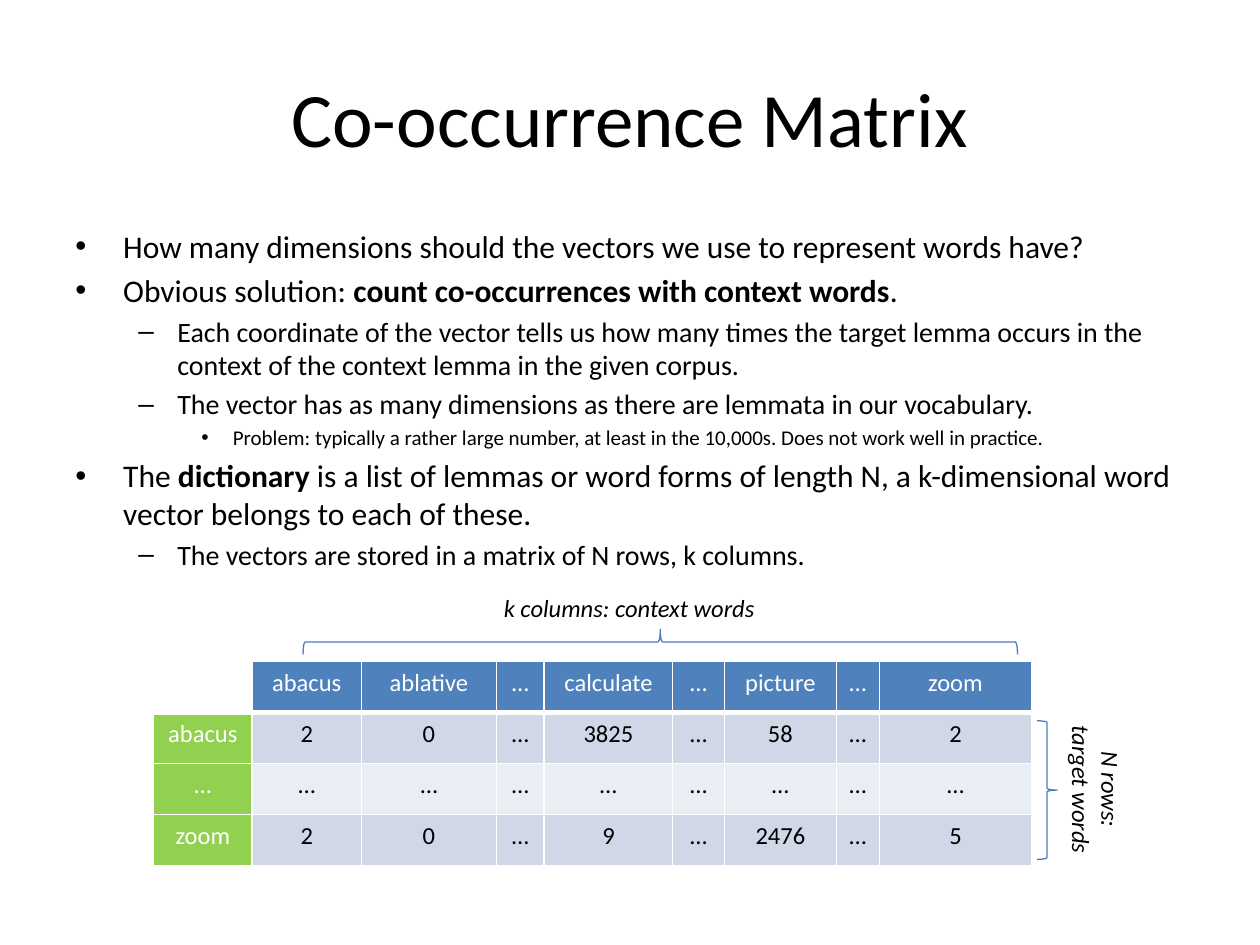
from lxml import etree
from pptx import Presentation
from pptx.dml.color import RGBColor
from pptx.enum.shapes import MSO_SHAPE
from pptx.enum.text import MSO_ANCHOR, PP_ALIGN
from pptx.oxml.ns import qn
from pptx.util import Inches, Pt

CENTER = PP_ALIGN.CENTER
LEFT = PP_ALIGN.LEFT
FONT = "Calibri"
COLORS = {
    "text": "000000",
    "white": "FFFFFF",
    "header": "4F81BD",
    "target": "92D050",
    "band": "D0D8E8",
    "light": "E9EDF4",
    "brace": "4B7EBC",
}


def rgb(name):
    return RGBColor.from_string(COLORS[name])


def style(para, size, align=LEFT, color="text", italic=None):
    para.alignment = align
    para.font.name = FONT
    para.font.size = Pt(size)
    para.font.italic = italic
    para.font.color.rgb = rgb(color)


deck = Presentation()
deck.slide_width, deck.slide_height = Inches(10), Inches(7.5)
page = deck.slides.add_slide(deck.slide_layouts[5])

title = page.shapes.title
title.left, title.top = Inches(0.5), Inches(0.3)
title.width, title.height = Inches(9), Inches(1.25)
title.text_frame.text = "Co-occurrence Matrix"
title.text_frame.vertical_anchor = MSO_ANCHOR.MIDDLE
style(title.text_frame.paragraphs[0], 44, CENTER)

LEVELS = [
    {"left": 0.38, "hang": 0.38, "bullet": "•", "size": 18},
    {"left": 0.81, "hang": 0.31, "bullet": "–", "size": 16},
    {"left": 1.25, "hang": 0.25, "bullet": "•", "size": 12},
]
points = [
    (0, ["How many dimensions should the vectors we use to represent words have?"]),
    (0, ["Obvious solution: ", "count co-occurrences with context words", "."]),
    (1, ["Each coordinate of the vector tells us how many times the target lemma "
         "occurs in the context of the context lemma in the given corpus."]),
    (1, ["The vector has as many dimensions as there are lemmata in our vocabulary."]),
    (2, ["Problem: typically a rather large number, at least in the 10,000s. "
         "Does not work well in practice."]),
    (0, ["The ", "dictionary ", "is a list of lemmas or word forms of length N, "
         "a k-dimensional word vector belongs to each of these."]),
    (1, ["The vectors are stored in a matrix of N rows, k columns."]),
]
body = page.shapes.add_textbox(Inches(0.5), Inches(1.75), Inches(9), Inches(4.95))
body.text_frame.word_wrap = True
for index, (level, parts) in enumerate(points):
    look = LEVELS[level]
    para = body.text_frame.paragraphs[0] if index == 0 else body.text_frame.add_paragraph()
    para.level = level
    props = para._p.get_or_add_pPr()
    props.set("marL", str(Inches(look["left"])))
    props.set("indent", str(-Inches(look["hang"])))
    etree.SubElement(props, qn("a:buFont"), typeface="Arial")
    etree.SubElement(props, qn("a:buChar"), char=look["bullet"])
    style(para, look["size"])
    if index > 0:
        para.space_before = Pt(look["size"] * 0.2)
    for position, text in enumerate(parts):
        span = para.add_run()
        span.text = text
        if position == 1:
            span.font.bold = True

rows = [
    ["", "abacus", "ablative", "…", "calculate", "…", "picture", "…", "zoom"],
    ["abacus", "2", "0", "…", "3825", "…", "58", "…", "2"],
    ["…"] * 9,
    ["zoom", "2", "0", "…", "9", "…", "2476", "…", "5"],
]
widths = [0.78, 0.87, 1.07, 0.38, 1.02, 0.41, 0.89, 0.34, 1.21]
matrix = page.shapes.add_table(
    len(rows), len(widths), Inches(1.22), Inches(5.25), Inches(6.98), Inches(1.62)
).table
for column, width in zip(matrix.columns, widths):
    column.width = Inches(width)
for r, row in enumerate(rows):
    matrix.rows[r].height = Inches(0.405)
    for c, text in enumerate(row):
        cell = matrix.cell(r, c)
        props = cell._tc.get_or_add_tcPr()
        for side in ("lnL", "lnR", "lnT", "lnB"):
            weight = 3 if r == 0 and side == "lnB" else 1
            border = etree.SubElement(props, qn(f"a:{side}"), w=str(Pt(weight)))
            paint = etree.SubElement(border, qn("a:solidFill"))
            etree.SubElement(paint, qn("a:srgbClr"), val=COLORS["white"])
        if r == 0:
            fill = "header" if c else "white"
        elif c == 0:
            fill = "target"
        else:
            fill = "band" if r % 2 else "light"
        cell.fill.solid()
        cell.fill.fore_color.rgb = rgb(fill)
        cell.text = text
        style(cell.text_frame.paragraphs[0], 14, CENTER,
              "white" if r == 0 or c == 0 else "text")

braces = [(5.14, 2.26, 0.2, 5.67, 90), (8.23, 5.72, 0.16, 1.1, 180)]
for left, top, width, height, turn in braces:
    brace = page.shapes.add_shape(
        MSO_SHAPE.LEFT_BRACE, Inches(left), Inches(top), Inches(width), Inches(height))
    brace.rotation = turn
    brace.shadow.inherit = False
    brace.fill.background()
    brace.line.color.rgb = rgb("brace")
    brace.line.width = Pt(0.75)

labels = [
    (["k columns: context words"], 3.9, 4.66, 2.52, 0.34, 0, LEFT, True),
    (["N rows:", "target words"], 8.09, 5.98, 1.22, 0.57, 90, CENTER, False),
]
for lines, left, top, width, height, turn, align, wrap in labels:
    box = page.shapes.add_textbox(Inches(left), Inches(top), Inches(width), Inches(height))
    box.rotation = turn
    box.text_frame.word_wrap = wrap
    box.text_frame.text = "\n".join(lines)
    for para in box.text_frame.paragraphs:
        style(para, 14, align, italic=True)

deck.save("out.pptx")
